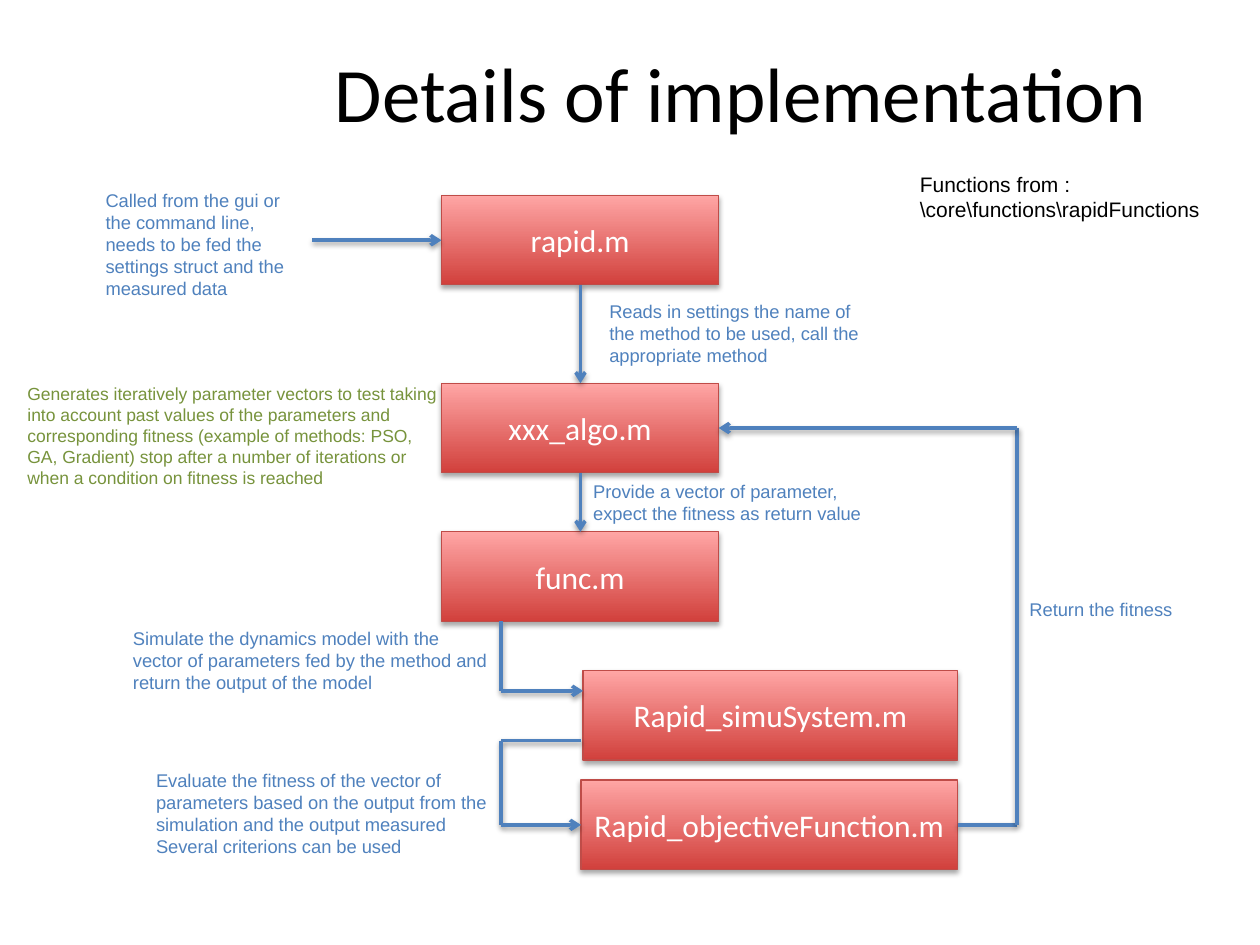
from itertools import pairwise

from lxml.etree import SubElement
from pptx import Presentation
from pptx.dml.color import RGBColor
from pptx.enum.shapes import MSO_CONNECTOR as Connector, MSO_SHAPE as Shape
from pptx.enum.text import MSO_ANCHOR as Anchor, MSO_AUTO_SIZE as AutoSize, PP_ALIGN as Align
from pptx.oxml.ns import qn
from pptx.util import Pt

BLUE, GREEN, BLACK, WHITE = "4F81BD", "77933C", "000000", "FFFFFF"
RED_DARK, RED_LIGHT, RED_LINE = "D1403C", "FFA6A5", "BF4C48"

# Shared positions, in points
BOX_LEFT, BOX_WIDTH, BOX_HEIGHT = 252.3, 158.4, 51.2
RAPID_TOP, ALGO_TOP, FUNC_TOP, SIMU_TOP, OBJECTIVE_TOP = 111.6, 219, 303.9, 383.2, 445.7
SUB_LEFT, SUB_RIGHT = 332, 547.2
MIDDLE_X, BRANCH_X, RETURN_X = 331.7, 286.4, 581.2
OBJECTIVE_Y = 471.4

# Text, left, top, width, height, size, colour
NOTES = [
    (["Called from the gui or the command line, needs to be fed the settings struct "
      "and the measured data"], 53.3, 104.4, 124.6, 70.6, 10.5, BLUE),
    (["Reads in settings the name of the method to be used, call the appropriate method"],
     341.1, 167.8, 160.6, 45.4, 10.5, BLUE),
    (["Generates iteratively parameter vectors to test taking into account past values "
      "of the parameters and corresponding fitness (example of methods: PSO, GA, Gradient) "
      "stop after a number of iterations or when a condition on fitness is reached"],
     8.6, 215.3, 250.6, 67.7, 10, GREEN),
    (["Provide a vector of parameter, expect the fitness as return value"],
     331.9, 270.7, 179.3, 32.4, 10.5, BLUE),
    (["Simulate the dynamics model with the vector of parameters fed by the method "
      "and return the output of the model"], 68.9, 355, 219.6, 45.4, 10.5, BLUE),
    (["Evaluate the fitness of the vector of parameters based on the output from the "
      "simulation and the output measured", "Several criterions can be used"],
     82.1, 435.9, 219.6, 58.3, 10.5, BLUE),
    (["Return the fitness"], 581.2, 338.4, 219.6, 20.2, 10.5, BLUE),
]


def color(hex_code):
    return RGBColor.from_string(hex_code)


def add_run(para, text, size, hex_code, font="Arial"):
    span = para.add_run()
    span.text = text
    span.font.name = font
    span.font.size = Pt(size)
    span.font.color.rgb = color(hex_code)


def add_shadow(shape, distance, opacity):
    properties = shape._element.spPr
    effects = properties.find(qn("a:effectLst"))
    if effects is None:
        effects = SubElement(properties, qn("a:effectLst"))
    shadow = SubElement(effects, qn("a:outerShdw"), blurRad=str(Pt(3.1)),
                        dist=str(Pt(distance)), dir="5400000", rotWithShape="0")
    black = SubElement(shadow, qn("a:srgbClr"), val=BLACK)
    SubElement(black, qn("a:alpha"), val=str(opacity * 1000))


def add_title(slide, text):
    title = slide.shapes.title
    title.left, title.top, title.width, title.height = Pt(99.4), Pt(22.3), Pt(648), Pt(90)
    title.text_frame.vertical_anchor = Anchor.TOP
    para = title.text_frame.paragraphs[0]
    para.alignment = Align.CENTER
    add_run(para, text, 44, BLACK, "Calibri")


def add_box(slide, text, left, top, width=BOX_WIDTH):
    box = slide.shapes.add_shape(Shape.RECTANGLE, Pt(left), Pt(top), Pt(width), Pt(BOX_HEIGHT))
    box.shadow.inherit = False
    box.fill.gradient()
    box.fill.gradient_angle = 90
    for stop, hex_code in zip(box.fill.gradient_stops, (RED_DARK, RED_LIGHT)):
        stop.color.rgb = color(hex_code)
    box.line.color.rgb = color(RED_LINE)
    box.line.width = Pt(0.75)
    add_shadow(box, 1.8, 35)
    box.text_frame.vertical_anchor = Anchor.MIDDLE
    para = box.text_frame.paragraphs[0]
    para.alignment = Align.CENTER
    add_run(para, text, 18, WHITE, "Calibri")


def add_route(slide, *points):
    """Join the points with straight lines; the last one ends in an arrowhead."""
    for start, end in pairwise(points):
        line = slide.shapes.add_connector(Connector.STRAIGHT, *map(Pt, start + end))
        line.line.color.rgb = color(BLUE)
        line.line.width = Pt(2)
        add_shadow(line, 1.6, 38)
    SubElement(line.line._get_or_add_ln(), qn("a:tailEnd"), type="arrow")


def add_text_box(slide, left, top, width, height, wrap=True):
    frame = slide.shapes.add_textbox(Pt(left), Pt(top), Pt(width), Pt(height)).text_frame
    frame.word_wrap = wrap
    frame.auto_size = AutoSize.SHAPE_TO_FIT_TEXT
    return frame


def add_note(slide, texts, left, top, width, height, size, hex_code):
    frame = add_text_box(slide, left, top, width, height)
    for index, text in enumerate(texts):
        para = frame.add_paragraph() if index else frame.paragraphs[0]
        add_run(para, text, size, hex_code)


def add_source_label(slide):
    para = add_text_box(slide, 518.6, 94.3, 175.7, 36, wrap=False).paragraphs[0]
    add_run(para, "Functions from : ", 12, BLACK)
    para.add_line_break()
    add_run(para, "\\core\\functions\\rapidFunctions", 12, BLACK)


def main():
    deck = Presentation()
    deck.slide_width, deck.slide_height = Pt(720), Pt(540)
    slide = deck.slides.add_slide(deck.slide_layouts[5])
    add_title(slide, "Details of implementation")

    # Function files
    add_box(slide, "rapid.m", BOX_LEFT, RAPID_TOP)
    add_box(slide, "xxx_algo.m", BOX_LEFT, ALGO_TOP)
    add_box(slide, "func.m", BOX_LEFT, FUNC_TOP)
    add_box(slide, "Rapid_simuSystem.m", 333.2, SIMU_TOP, SUB_RIGHT - 333.2)
    add_box(slide, "Rapid_objectiveFunction.m", SUB_LEFT, OBJECTIVE_TOP, SUB_RIGHT - SUB_LEFT)

    # Call into rapid.m, then down the main column
    add_route(slide, (178.4, 137.3), (BOX_LEFT, 137.3))
    add_route(slide, (MIDDLE_X, RAPID_TOP + BOX_HEIGHT), (MIDDLE_X, ALGO_TOP))
    add_route(slide, (MIDDLE_X, ALGO_TOP + BOX_HEIGHT), (MIDDLE_X, FUNC_TOP))

    # Branches to the simulation and the objective, and the way back
    add_route(slide, (BRANCH_X, FUNC_TOP + BOX_HEIGHT), (BRANCH_X, 394.8), (333.2, 394.8))
    add_route(slide, (SUB_LEFT, 423.2), (BRANCH_X, 423.2), (BRANCH_X, OBJECTIVE_Y),
              (SUB_LEFT, OBJECTIVE_Y))
    add_route(slide, (SUB_RIGHT, OBJECTIVE_Y), (RETURN_X, OBJECTIVE_Y), (RETURN_X, 244.6),
              (BOX_LEFT + BOX_WIDTH, 244.6))

    # Explanations
    for note in NOTES:
        add_note(slide, *note)
    add_source_label(slide)
    deck.save("out.pptx")


if __name__ == "__main__":
    main()
